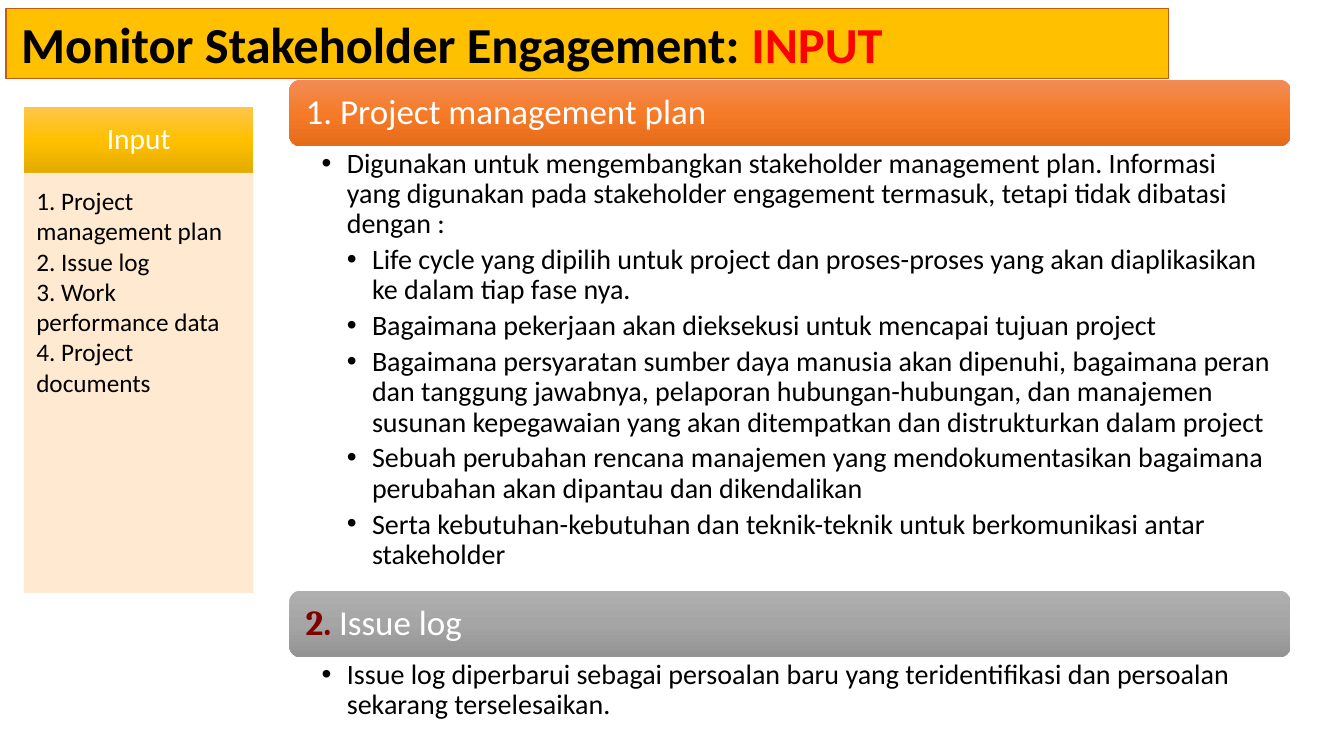
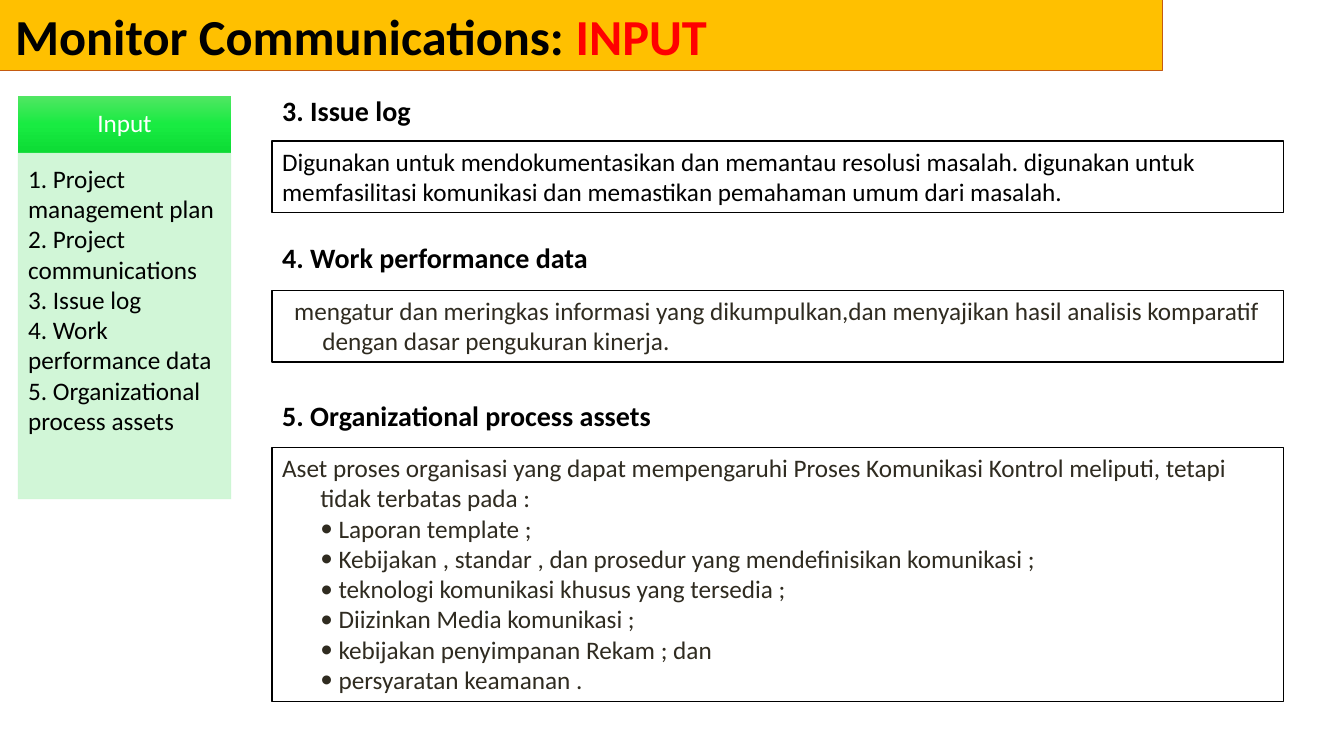
from copy import deepcopy

from lxml.etree import SubElement
from pptx import Presentation
from pptx.dml.color import RGBColor
from pptx.enum.shapes import MSO_SHAPE as Shape
from pptx.enum.text import MSO_ANCHOR as Anchor, PP_ALIGN as Align
from pptx.oxml.ns import qn
from pptx.util import Inches, Pt

BLACK, WHITE, RED, MAROON, INK = "000000", "FFFFFF", "FF0000", "800000", "2F2B20"
GOLD, RUST = "FFC000", "C55A11"
AMBER = ("FFC64B", "FFC000", "E3AB00")
ORANGE = ("F18C57", "F67B28", "E56C19")
GREY = ("AFAFAF", "A5A5A5", "939393")
GREEN = ("51E663", "19EB42", "0CDB34")
CREAM, MINT = "FFE8CC", "CCF6D3"
INSETS = (0.1, 0.05, 0.1, 0.05)


def rgb(hex_color):
    return RGBColor.from_string(hex_color)


class Deck:
    font = "Calibri"

    def __init__(self):
        self.prs = Presentation()
        self.prs.slide_width, self.prs.slide_height = Inches(13.33), Inches(7.5)
        self.s = None

    def new_slide(self):
        self.s = self.prs.slides.add_slide(self.prs.slide_layouts[6])

    # Basic elements
    def shape(self, at, fill, line=None, width=1, kind=Shape.RECTANGLE):
        sp = self.s.shapes.add_shape(kind, *map(Inches, at))
        sp.shadow.inherit = False
        if isinstance(fill, tuple):
            self.gradient(sp, fill)
        else:
            sp.fill.solid()
            sp.fill.fore_color.rgb = rgb(fill)
        if line:
            sp.line.color.rgb = rgb(line)
            sp.line.width = Pt(width)
        else:
            sp.line.fill.background()
        return sp

    def gradient(self, sp, colors):
        sp.fill.gradient()
        sp.fill.gradient_angle = 270
        first = sp._element.spPr.find(".//" + qn("a:gs"))
        first.addnext(deepcopy(first))
        for i, (stop, color) in enumerate(zip(sp.fill.gradient_stops, colors)):
            stop.position = i / 2
            stop.color.rgb = rgb(color)

    def textbox(self, at):
        return self.s.shapes.add_textbox(*map(Inches, at))

    def frame(self, sp, insets=INSETS, anchor=Anchor.TOP):
        tf = sp.text_frame
        tf.word_wrap = True
        tf.vertical_anchor = anchor
        tf.margin_left, tf.margin_top, tf.margin_right, tf.margin_bottom = map(Inches, insets)
        return tf

    def para(self, tf, text="", size=18, color=BLACK, bold=False, align=Align.LEFT,
             left=0, indent=0, bullet=None, level=0, spacing=1, after=0):
        p = tf.paragraphs[0]
        if p.runs:
            p = tf.add_paragraph()
        pPr = p._p.get_or_add_pPr()
        pPr.set("marL", str(Inches(left)))
        pPr.set("indent", str(Inches(indent)))
        if bullet:
            SubElement(pPr, qn("a:buFont")).set("typeface", bullet)
            SubElement(pPr, qn("a:buChar")).set("char", "•")
        p.level, p.alignment = level, align
        p.line_spacing, p.space_after = spacing, Pt(after)
        if text:
            self.run(p, text, size, color, bold)
        return p

    def run(self, p, text, size, color, bold=False, font=None):
        r = p.add_run()
        r.text = text
        r.font.name, r.font.size, r.font.bold = font or self.font, Pt(size), bold
        r.font.color.rgb = rgb(color)

    # Slide parts
    def title(self, x, y, text):
        sp = self.shape((x, y, 11.53, 0.7), GOLD, RUST, 0.75)
        p = self.para(self.frame(sp, (0.15, 0.05, 0.09, 0.05)))
        self.run(p, text + " ", 36, BLACK, True)
        self.run(p, "INPUT", 36, RED, True)

    def input_panel(self, x, y, w, head_h, body_h, colors, tint, head_size, insets, items):
        sp = self.shape((x, y, w, head_h), colors)
        self.para(self.frame(sp, anchor=Anchor.MIDDLE), "Input", head_size, WHITE,
                  align=Align.CENTER, spacing=0.9)
        sp = self.shape((x, y + head_h, w, body_h), tint, tint, 0.5)
        for color in sp._element.spPr.iter(qn("a:srgbClr")):
            SubElement(color, qn("a:alpha")).set("val", "90000")
        tf = self.frame(sp, insets)
        for i, item in enumerate(items, 1):
            self.para(tf, f"{i}. {item}")

    def topic(self, y, body_h, colors, number_style, name, points):
        x, w, head_h = 2.87, 9.93, 0.66
        sp = self.shape((x, y, w, head_h), colors, kind=Shape.ROUNDED_RECTANGLE)
        p = self.para(self.frame(sp, (0.13, 0.1, 0.13, 0.1), Anchor.MIDDLE), spacing=0.9)
        self.run(p, size=25, **number_style)
        self.run(p, name, 25, WHITE)
        tf = self.frame(self.textbox((x, y + head_h, w, body_h)), (0.32, 0.03, 0.19, 0.03))
        for level, text in points:
            self.para(tf, text, 20, left=0.25 * level, indent=-0.25, bullet="Arial",
                      level=level, spacing=0.9, after=4)

    def section(self, y, heading, box_y, box_h, text, color=INK, left=0, indent=0, points=()):
        self.para(self.frame(self.textbox((2.7, y, 4.79, 0.44))), heading, 20, bold=True)
        tf = self.frame(self.shape((2.7, box_y, 10.03, box_h), WHITE, BLACK))
        self.para(tf, text, color=color, left=left, indent=indent)
        for point in points:
            self.para(tf, point, color=color, left=0.56, indent=-0.18, bullet=self.font)


def stakeholder_slide(deck):
    deck.new_slide()
    deck.title(0.06, 0.08, "Monitor Stakeholder Engagement:")
    deck.input_panel(0.24, 1.06, 2.27, 0.66, 4.16, AMBER, CREAM, 21, (0.12, 0.12, 0.16, 0.18), [
        "Project management plan", "Issue log", "Work performance data", "Project documents"])
    deck.topic(0.79, 4.41, ORANGE, dict(text="1. ", color=WHITE), "Project management plan", [
        (1, "Digunakan untuk mengembangkan stakeholder management plan. Informasi yang "
            "digunakan pada stakeholder engagement termasuk, tetapi tidak dibatasi dengan :"),
        (2, "Life cycle yang dipilih untuk project dan proses-proses yang akan "
            "diaplikasikan ke dalam tiap fase nya."),
        (2, "Bagaimana pekerjaan akan dieksekusi untuk mencapai tujuan project"),
        (2, "Bagaimana persyaratan sumber daya manusia akan dipenuhi, bagaimana peran dan "
            "tanggung jawabnya, pelaporan hubungan-hubungan, dan manajemen susunan "
            "kepegawaian yang akan ditempatkan dan distrukturkan dalam project"),
        (2, "Sebuah perubahan rencana manajemen yang mendokumentasikan bagaimana "
            "perubahan akan dipantau dan dikendalikan"),
        (2, "Serta kebutuhan-kebutuhan dan teknik-teknik untuk berkomunikasi antar "
            "stakeholder")])
    deck.topic(5.86, 0.69, GREY, dict(text="2. ", color=MAROON, bold=True, font="Cambria"),
               "Issue log", [
        (1, "Issue log diperbarui sebagai persoalan baru yang teridentifikasi dan persoalan "
            "sekarang terselesaikan.")])


def communications_slide(deck):
    deck.new_slide()
    deck.title(0, 0, "Monitor Communications:")
    deck.input_panel(0.18, 0.95, 2.11, 0.57, 3.43, GREEN, MINT, 18, (0.1, 0.1, 0.14, 0.16), [
        "Project management plan", "Project communications", "Issue log",
        "Work performance data", "Organizational process assets"])
    deck.section(0.88, "3. Issue log", 1.4, 0.71,
                 "Digunakan untuk mendokumentasikan dan memantau resolusi masalah. digunakan "
                 "untuk memfasilitasi komunikasi dan memastikan pemahaman umum dari masalah.",
                 color=BLACK)
    deck.section(2.34, "4. Work performance data", 2.88, 0.71,
                 "mengatur dan meringkas informasi yang dikumpulkan,dan menyajikan hasil "
                 "analisis komparatif dengan dasar pengukuran kinerja.",
                 left=0.4, indent=-0.28)
    deck.section(3.9, "5. Organizational process assets", 4.44, 2.52,
                 "Aset proses organisasi yang dapat mempengaruhi Proses Komunikasi Kontrol "
                 "meliputi, tetapi tidak terbatas pada :",
                 left=0.38, indent=-0.38, points=[
                     "Laporan template ;",
                     "Kebijakan , standar , dan prosedur yang mendefinisikan komunikasi ;",
                     "teknologi komunikasi khusus yang tersedia ;",
                     "Diizinkan Media komunikasi ;",
                     "kebijakan penyimpanan Rekam ; dan",
                     "persyaratan keamanan ."])


def main():
    deck = Deck()
    stakeholder_slide(deck)
    communications_slide(deck)
    deck.prs.save("out.pptx")


if __name__ == "__main__":
    main()
